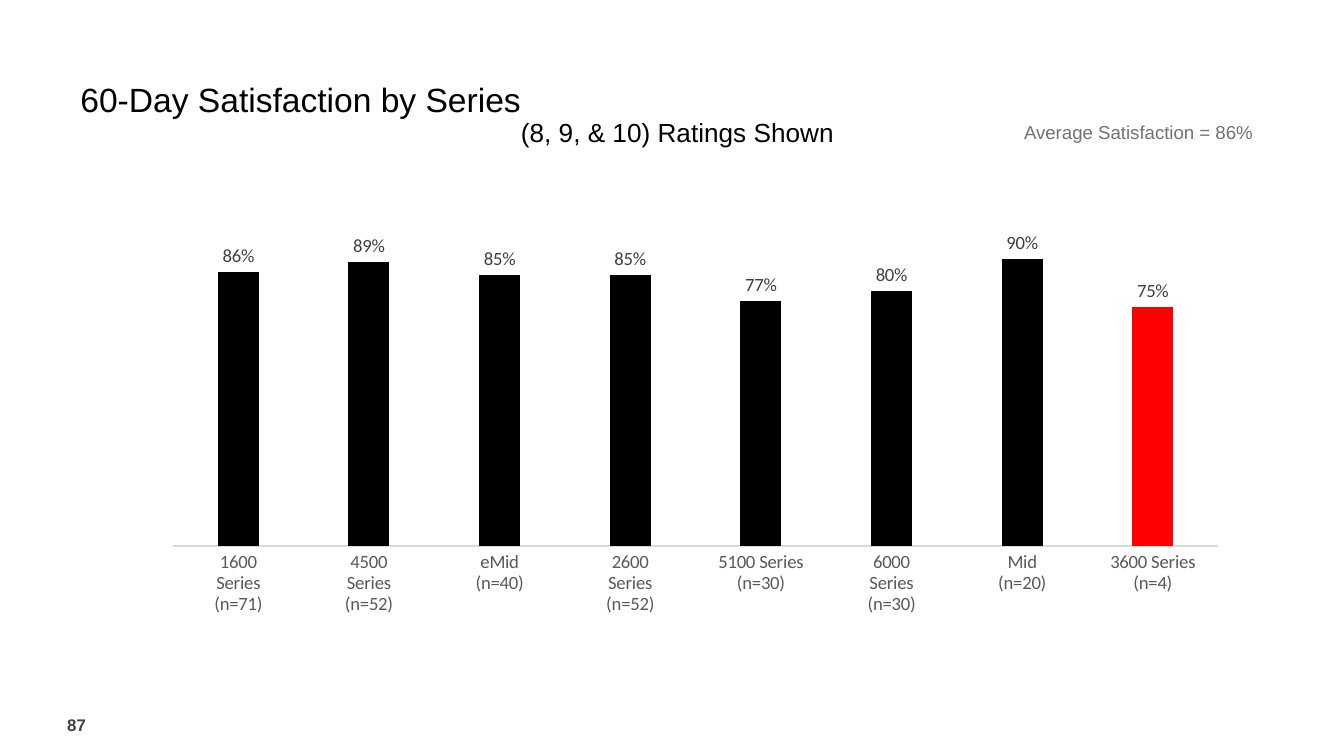
from lxml.etree import SubElement
from pptx import Presentation
from pptx.chart.data import CategoryChartData
from pptx.dml.color import RGBColor
from pptx.enum.chart import XL_CHART_TYPE, XL_LABEL_POSITION, XL_TICK_MARK
from pptx.enum.text import MSO_ANCHOR
from pptx.oxml.ns import qn
from pptx.util import Pt

INK = {
    "black": "000000",
    "red": "FF0000",
    "page": "414141",
    "note": "767171",
    "label": "404040",
    "axis": "595959",
    "line": "D9D9D9",
}
RATES = [
    ("1600\nSeries\n(n=71)", 0.86),
    ("4500\nSeries\n(n=52)", 0.89),
    ("eMid\n(n=40)", 0.85),
    ("2600\nSeries\n(n=52)", 0.85),
    ("5100 Series\n(n=30)", 0.77),
    ("6000\nSeries\n(n=30)", 0.80),
    ("Mid\n(n=20)", 0.90),
    ("3600 Series\n(n=4)", 0.75),
]

deck = Presentation()
deck.slide_width, deck.slide_height = Pt(720), Pt(405)
slide = deck.slides.add_slide(deck.slide_layouts[6])


def style(font, size, color, name="Calibri", bold=False):
    font.name, font.size, font.bold = name, Pt(size), bold
    font.color.rgb = RGBColor.from_string(INK[color])


def add_text(text, box, size, color, bold=False, wrap=True,
             anchor=MSO_ANCHOR.TOP, inset=None):
    frame = slide.shapes.add_textbox(*map(Pt, box)).text_frame
    frame.word_wrap, frame.vertical_anchor = wrap, anchor
    if inset is not None:
        frame.margin_left = frame.margin_right = Pt(inset)
        frame.margin_top = frame.margin_bottom = Pt(inset)
    run = frame.paragraphs[0].add_run()
    run.text = text
    style(run.font, size, color, "Arial", bold)


add_text("60-Day Satisfaction by Series", (36, 41, 640, 24), 18, "black",
         anchor=MSO_ANCHOR.MIDDLE)
add_text("87", (36, 379.5, 54, 18), 9, "page", bold=True,
         anchor=MSO_ANCHOR.MIDDLE, inset=0)
add_text("(8, 9, & 10) Ratings Shown", (272, 59, 191, 24.5), 14, "black",
         wrap=False)
add_text("Average Satisfaction = 86%", (541.5, 61.2, 154, 19.5), 10, "note")

# Satisfaction chart
data = CategoryChartData(number_format="0%")
data.categories = [name for name, rate in RATES]
data.add_series("Series 1", [rate for name, rate in RATES])
chart = slide.shapes.add_chart(
    XL_CHART_TYPE.COLUMN_CLUSTERED,
    Pt(44), Pt(80.6), Pt(609), Pt(294.5), data).chart
chart.has_legend = chart.has_title = False
style(chart.font, 10, "black")

plot = chart.plots[0]
plot.gap_width, plot.overlap = 219, -27
plot.vary_by_categories = False

bars = plot.series[0]
bars.invert_if_negative = False
last = bars.points[len(RATES) - 1]
for part, color in ((bars, "black"), (last, "red")):
    part.format.fill.solid()
    part.format.fill.fore_color.rgb = RGBColor.from_string(INK[color])

labels = bars.data_labels
labels.show_value = True
labels.position = XL_LABEL_POSITION.OUTSIDE_END
labels.number_format, labels.number_format_is_linked = "0%", False
style(labels.font, 10, "label")

axis = chart.category_axis
axis.major_tick_mark = axis.minor_tick_mark = XL_TICK_MARK.NONE
axis.format.line.color.rgb = RGBColor.from_string(INK["line"])
axis.format.line.width = Pt(0.75)
style(axis.tick_labels.font, 10, "axis")

scale = chart.value_axis
scale.minimum_scale, scale.maximum_scale = 0, 1
scale.has_major_gridlines = scale.visible = False

# Fixed inner plot area, as shares of the chart frame
area = chart.element.find(".//" + qn("c:plotArea"))
for old in area.findall(qn("c:layout")):
    area.remove(old)
layout = SubElement(area, qn("c:layout"))
area.insert(0, layout)
manual = SubElement(layout, qn("c:manualLayout"))
for tag, val in (("layoutTarget", "inner"), ("xMode", "edge"),
                 ("yMode", "edge"), ("x", 0.08), ("y", 0.14),
                 ("w", 0.92), ("h", 0.58)):
    SubElement(manual, qn("c:" + tag)).set("val", str(val))

deck.save("out.pptx")
